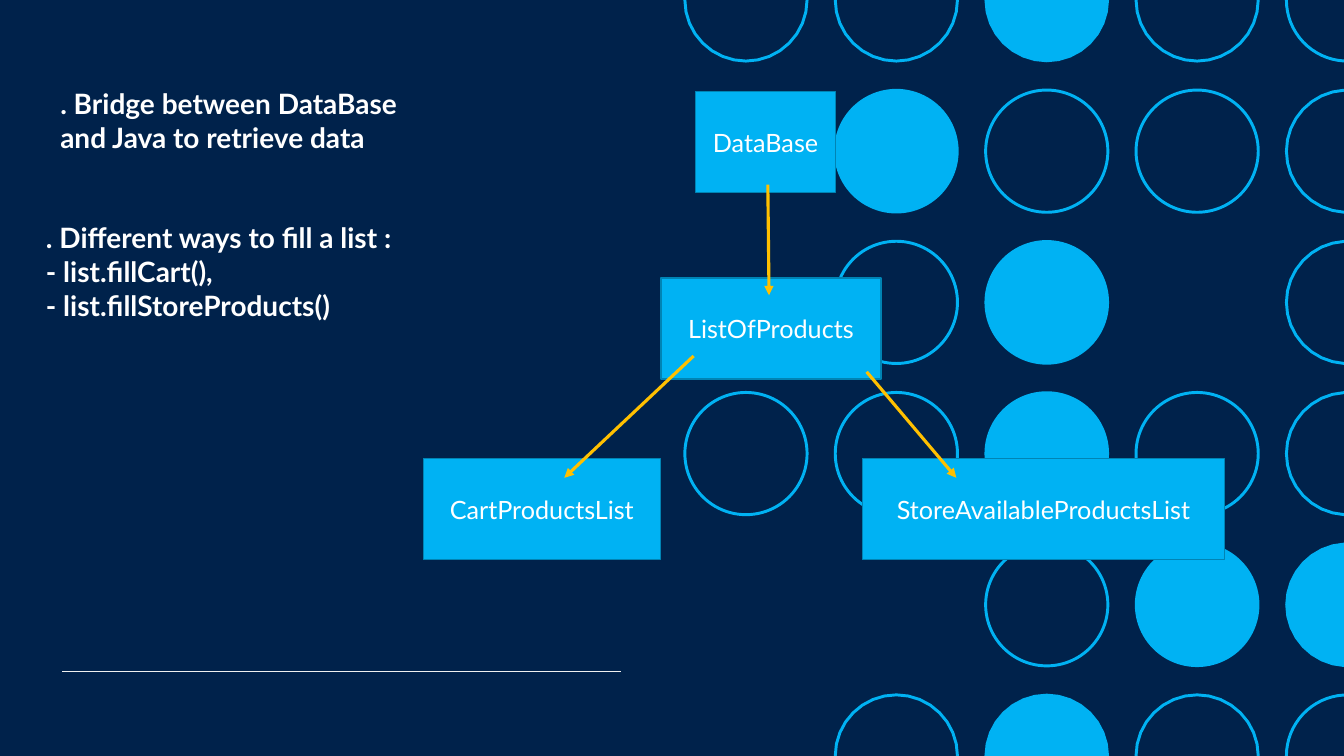
from math import acos, cos, pi, sin

from lxml.etree import SubElement
from pptx import Presentation
from pptx.dml.color import RGBColor
from pptx.enum.shapes import MSO_CONNECTOR as Connector, MSO_SHAPE as Shape
from pptx.enum.text import MSO_ANCHOR as Anchor, PP_ALIGN as Align
from pptx.oxml.ns import qn
from pptx.util import Cm, Pt

NAVY = RGBColor(0x00, 0x22, 0x4B)
SKY = RGBColor(0x00, 0xB2, 0xF3)
EDGE = RGBColor(0x00, 0x84, 0xB4)
GOLD = RGBColor(0xFF, 0xC0, 0x00)
PALE = RGBColor(0xEF, 0xF0, 0xEF)
WHITE = RGBColor(0xFF, 0xFF, 0xFF)

WIDTH, HEIGHT = 33.87, 19.05

# Circle pattern: x is a disc, o is a ring, a dot is a gap
PATTERN = ("ooxoo", ".xooo", ".ox.o", "ooxoo", "..oxx", ".oxoo")
FIRST_COLUMN, COLUMN_STEP, ROW_STEP = 18.8, 3.79, 3.81
DISC_RADIUS, RING_RADIUS = 1.57, 1.54
ARC_STEPS = 16


def write_text(frame, text, size=18, bold=False, align=Align.LEFT, anchor=Anchor.TOP):
    frame.word_wrap = True
    frame.vertical_anchor = anchor
    para = frame.paragraphs[0]
    para.text = text
    para.alignment = align
    for span in para.runs:
        span.font.name = "Lato"
        span.font.size = Pt(size)
        span.font.bold = bold
        span.font.color.rgb = WHITE


def visible_arc(x, y, radius):
    """Return the first and last angle of the part that lies on the slide."""
    first = pi if y + radius > HEIGHT else 0
    last = pi if y - radius < 0 else 2 * pi
    if x + radius > WIDTH:
        edge = acos((WIDTH - x) / radius)
        first, last = max(first, edge), min(last, 2 * pi - edge)
    return first, last


class Page:
    def __init__(self, deck):
        self.slide = deck.slides.add_slide(deck.slide_layouts[6])
        self.shapes = self.slide.shapes
        self.slide.background.fill.solid()
        self.slide.background.fill.fore_color.rgb = NAVY

    def paint(self, shape, fill=None, line=None, weight=1):
        shape.shadow.inherit = False
        if fill is None:
            shape.fill.background()
        else:
            shape.fill.solid()
            shape.fill.fore_color.rgb = fill
        if line is None:
            shape.line.fill.background()
        else:
            shape.line.color.rgb = line
            shape.line.width = Pt(weight)

    def circle(self, x, y, filled):
        """Draw a circle about (x, y), cut off at the slide's edges."""
        radius = DISC_RADIUS if filled else RING_RADIUS
        first, last = visible_arc(x, y, radius)
        if last - first == 2 * pi:
            shape = self.shapes.add_shape(Shape.OVAL, Cm(x - radius), Cm(y - radius),
                                          Cm(2 * radius), Cm(2 * radius))
        else:
            turn = [first + (last - first) * step / ARC_STEPS for step in range(ARC_STEPS + 1)]
            points = [(Cm(x + radius * cos(a)), Cm(y + radius * sin(a))) for a in turn]
            builder = self.shapes.build_freeform(*points[0])
            builder.add_line_segments(points[1:], close=filled)
            shape = builder.convert_to_shape()
        if filled:
            self.paint(shape, fill=SKY)
        else:
            self.paint(shape, line=SKY, weight=2.1)

    def node(self, text, left, top, width, height=2.54):
        box = self.shapes.add_shape(Shape.RECTANGLE, Cm(left), Cm(top), Cm(width), Cm(height))
        self.paint(box, fill=SKY, line=EDGE)
        write_text(box.text_frame, text, align=Align.CENTER, anchor=Anchor.MIDDLE)

    def note(self, text, left, top, width, height=2.82):
        box = self.shapes.add_textbox(Cm(left), Cm(top), Cm(width), Cm(height))
        write_text(box.text_frame, text, size=20, bold=True)

    def line(self, start, end, color, weight, arrow=False):
        link = self.shapes.add_connector(Connector.STRAIGHT, *map(Cm, start + end))
        link.line.color.rgb = color
        link.line.width = Pt(weight)
        if arrow:
            SubElement(link.line._get_or_add_ln(), qn("a:tailEnd"), type="triangle")
        SubElement(link._element.spPr, qn("a:effectLst"))


def main():
    deck = Presentation()
    deck.slide_width, deck.slide_height = Cm(WIDTH), Cm(HEIGHT)
    page = Page(deck)

    # Background: rule and circles
    page.line((1.57, 16.92), (15.65, 16.92), PALE, 1)
    for row, marks in enumerate(PATTERN):
        for column, mark in enumerate(marks):
            if mark != ".":
                page.circle(FIRST_COLUMN + column * COLUMN_STEP, row * ROW_STEP, mark == "x")

    # Notes on the left
    page.note(". Bridge between DataBase and Java to retrieve data", 1.27, 2.06, 9.07)
    page.note(". Different ways to fill a list :\v- list.fillCart(),\v- list.fillStoreProducts()",
              0.91, 5.44, 11)

    # Diagram boxes
    page.node("DataBase", 17.53, 2.31, 3.53)
    page.node("ListOfProducts", 16.66, 7.01, 5.54)
    page.node("CartProductsList", 10.67, 11.56, 5.97)
    page.node("StoreAvailableProductsList", 21.74, 11.56, 9.12)

    # Arrows between the boxes
    for start, end in (((19.35, 4.65), (19.38, 7.44)),
                       ((17.48, 8.97), (14.22, 12.04)),
                       ((21.84, 9.37), (24.1, 12.04))):
        page.line(start, end, GOLD, 2.25, arrow=True)

    deck.save("out.pptx")


if __name__ == "__main__":
    main()
